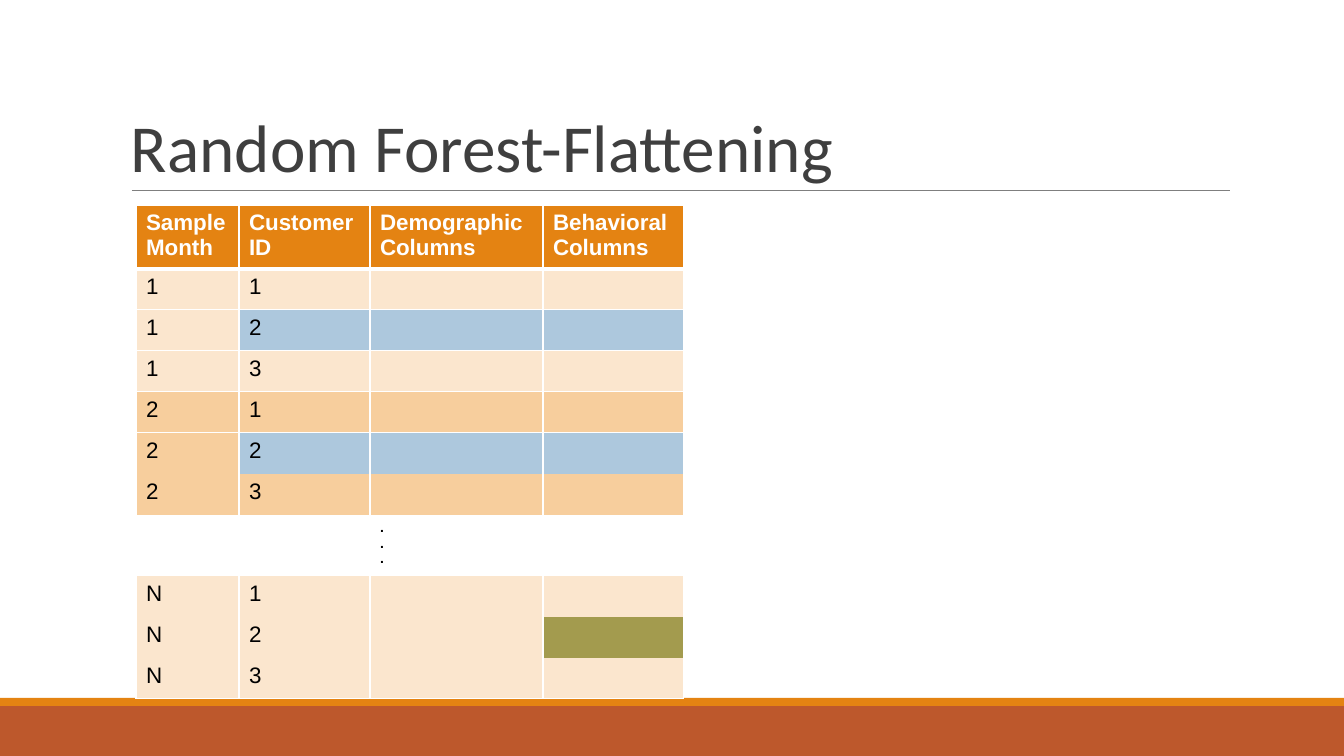
import pptx
import pptx.util
import pptx.dml.color
import pptx.enum.shapes
import pptx.enum.text
import pptx.oxml.ns
from lxml import etree

COLORS = {
    "white": "FFFFFF", "black": "000000", "title": "3F3F3F", "rule": "7F7F7F",
    "rust": "BD582C", "orange": "E48312", "light": "FBE6CE", "medium": "F7CE9D",
    "blue": "ADC8DD", "olive": "A39B4E",
}
TITLE = "Random Forest-Flattening"
TITLE_BOX = (121, 31, 1109, 160)
RULE = (132, 191, 1230, 191)
BANDS = [((0, 706, 1344, 50), "rust"), ((0, 698, 1344, 8), "orange")]

HEADERS = ["Sample Month", "Customer ID", "Demographic Columns", "Behavioral Columns"]
MONTHS = [("1", "light"), ("2", "medium"), ("N", "light")]
CUSTOMERS = ["1", "2", "3"]
DOTS = ".\n.\n."
TABLE_LEFT, TABLE_TOP = 136, 205
COLUMN_WIDTHS = [103, 131, 173, 141]
HEADER_HEIGHT, ROW_HEIGHT, DOTS_HEIGHT = 63, 41, 61
DOTS_ROW = 7
LAST_RULED_ROW = 5

EMU_PER_PX = 914400 / 100.8


def px(length):
    return pptx.util.Emu(round(length * EMU_PER_PX))


def color(name):
    return pptx.dml.color.RGBColor.from_string(COLORS[name])


def format_text(text_frame, font_name, size, color_name, bold=False):
    for paragraph in text_frame.paragraphs:
        for run in paragraph.runs:
            run.font.name = font_name
            run.font.size = pptx.util.Pt(size)
            run.font.bold = bold
            run.font.color.rgb = color(color_name)


def set_border(cell, side, points):
    properties = cell._tc.get_or_add_tcPr()
    line = etree.SubElement(properties, pptx.oxml.ns.qn("a:ln" + side))
    line.set("w", str(pptx.util.Pt(points)))
    if points:
        fill = etree.SubElement(line, pptx.oxml.ns.qn("a:solidFill"))
        etree.SubElement(fill, pptx.oxml.ns.qn("a:srgbClr")).set("val", COLORS["white"])
    else:
        etree.SubElement(line, pptx.oxml.ns.qn("a:noFill"))


def border_widths(row):
    sides = 0 if row == DOTS_ROW else 1
    top = 3 if row == 1 else int(row <= LAST_RULED_ROW)
    bottom = 3 if row == 0 else int(row < LAST_RULED_ROW or row == len(rows) - 1)
    return {"L": sides, "R": sides, "T": top, "B": bottom}


def cell_fill(month, customer, column, band):
    if customer == "2" and month != "N" and column > 0:
        return "blue"
    if customer == "2" and month == "N" and column == 3:
        return "olive"
    return band


rows = [[(header, "orange") for header in HEADERS]]
for month, band in MONTHS:
    for customer in CUSTOMERS:
        texts = [month, customer, "", ""]
        rows.append([(text, cell_fill(month, customer, column, band))
                     for column, text in enumerate(texts)])
rows.insert(DOTS_ROW, [(text, None) for text in ("", "", DOTS, "")])
row_heights = [ROW_HEIGHT] * len(rows)
row_heights[0] = HEADER_HEIGHT
row_heights[DOTS_ROW] = DOTS_HEIGHT

presentation = pptx.Presentation()
presentation.slide_width, presentation.slide_height = px(1344), px(756)
slide = presentation.slides.add_slide(presentation.slide_layouts[6])

for box, name in BANDS:
    band_shape = slide.shapes.add_shape(
        pptx.enum.shapes.MSO_SHAPE.RECTANGLE, *map(px, box))
    band_shape.shadow.inherit = False
    band_shape.fill.solid()
    band_shape.fill.fore_color.rgb = color(name)
    band_shape.line.fill.background()

rule = slide.shapes.add_connector(
    pptx.enum.shapes.MSO_CONNECTOR.STRAIGHT, *map(px, RULE))
rule.line.color.rgb = color("rule")
rule.line.width = pptx.util.Pt(0.75)
etree.SubElement(rule._element.spPr, pptx.oxml.ns.qn("a:effectLst"))

title_frame = slide.shapes.add_textbox(*map(px, TITLE_BOX)).text_frame
title_frame.word_wrap = True
title_frame.vertical_anchor = pptx.enum.text.MSO_ANCHOR.BOTTOM
title_frame.text = TITLE
title_frame.paragraphs[0].line_spacing = 0.85
format_text(title_frame, "Calibri", 48, "title")

table = slide.shapes.add_table(
    len(rows), len(HEADERS), px(TABLE_LEFT), px(TABLE_TOP),
    px(sum(COLUMN_WIDTHS)), px(sum(row_heights))).table
table.first_row = False
table.horz_banding = False
for column, width in enumerate(COLUMN_WIDTHS):
    table.columns[column].width = px(width)

for row, contents in enumerate(rows):
    table.rows[row].height = px(row_heights[row])
    for column, (text, fill_name) in enumerate(contents):
        cell = table.cell(row, column)
        for side, points in border_widths(row).items():
            set_border(cell, side, points)
        if fill_name:
            cell.fill.solid()
            cell.fill.fore_color.rgb = color(fill_name)
        else:
            cell.fill.background()
        cell.text_frame.text = text
        format_text(cell.text_frame, "Arial", 10 if row == DOTS_ROW else 16,
                    "white" if row == 0 else "black", row in (0, DOTS_ROW))

presentation.save("out.pptx")
